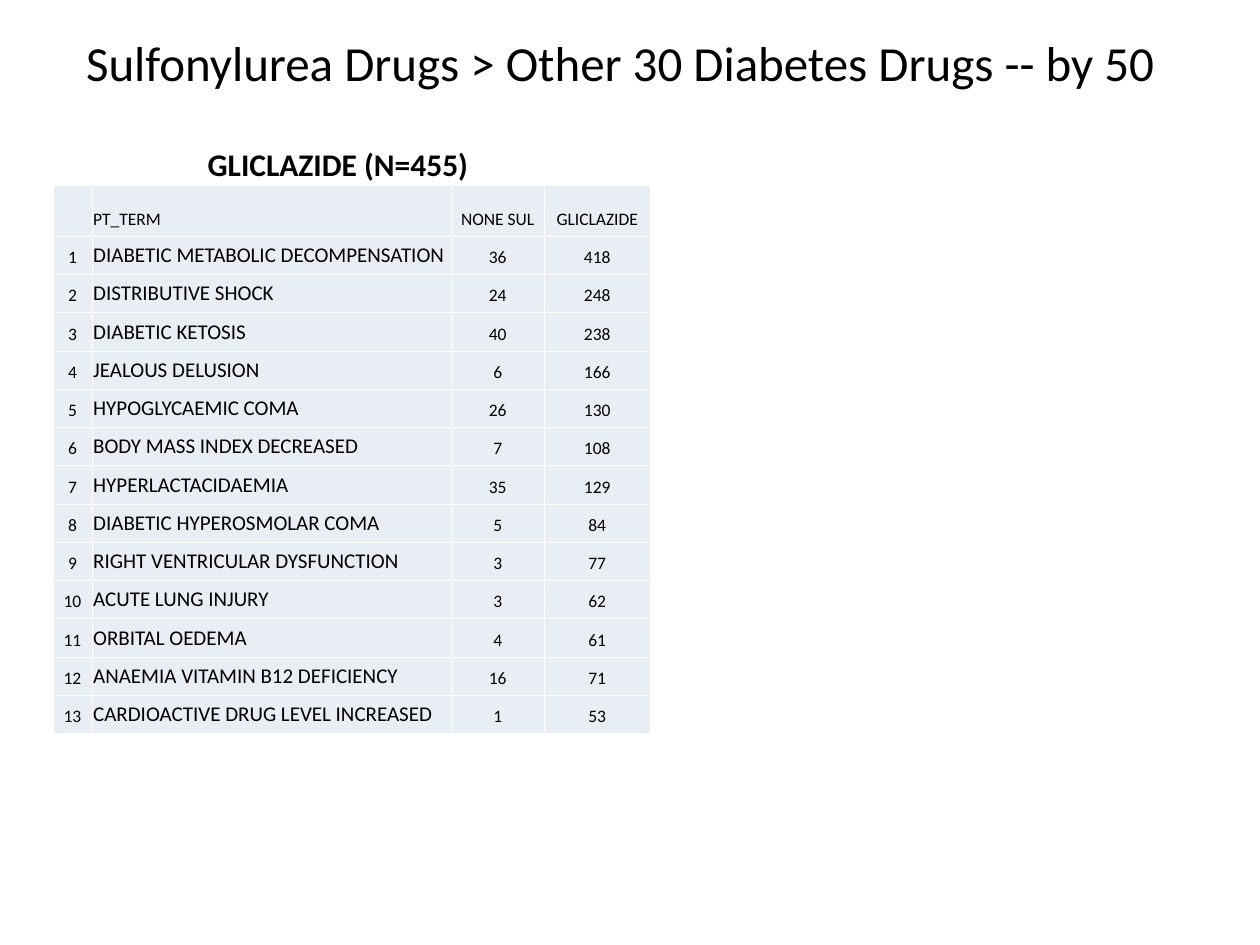
"""Build a slide tabulating adverse event terms for gliclazide."""
import pptx
import pptx.dml.color
import pptx.enum.text
import pptx.oxml
import pptx.oxml.ns
import pptx.util

Inches = pptx.util.Inches
Pt = pptx.util.Pt
RGBColor = pptx.dml.color.RGBColor
ALIGN = pptx.enum.text.PP_ALIGN
ANCHOR = pptx.enum.text.MSO_ANCHOR

FONT = "Calibri"
BLACK = RGBColor(0x00, 0x00, 0x00)
WHITE = RGBColor(0xFF, 0xFF, 0xFF)
PALE_BLUE = RGBColor(0xE9, 0xED, 0xF4)

COLUMN_WIDTHS = (0.31, 2.85, 0.74, 0.84)
HEADER_HEIGHT = 0.18
ROW_HEIGHT = 0.21
TERM_COLUMN = 1
HEADER = ("", "PT_TERM", "NONE SUL", "GLICLAZIDE")
TERMS = (
    ("DIABETIC METABOLIC DECOMPENSATION", 36, 418),
    ("DISTRIBUTIVE SHOCK", 24, 248),
    ("DIABETIC KETOSIS", 40, 238),
    ("JEALOUS DELUSION", 6, 166),
    ("HYPOGLYCAEMIC COMA", 26, 130),
    ("BODY MASS INDEX DECREASED", 7, 108),
    ("HYPERLACTACIDAEMIA", 35, 129),
    ("DIABETIC HYPEROSMOLAR COMA", 5, 84),
    ("RIGHT VENTRICULAR DYSFUNCTION", 3, 77),
    ("ACUTE LUNG INJURY", 3, 62),
    ("ORBITAL OEDEMA", 4, 61),
    ("ANAEMIA VITAMIN B12 DEFICIENCY", 16, 71),
    ("CARDIOACTIVE DRUG LEVEL INCREASED", 1, 53),
)


def add_run(p, text, size, bold=False):
    r = p.add_run()
    r.text = text
    r.font.name = FONT
    r.font.size = Pt(size)
    r.font.bold = bold
    r.font.color.rgb = BLACK


def set_title(s, text):
    sp = s.shapes.title
    sp.left, sp.top = Inches(0.42), Inches(0.08)
    sp.width, sp.height = Inches(9), Inches(0.83)
    tf = sp.text_frame
    tf.auto_size = pptx.enum.text.MSO_AUTO_SIZE.NONE
    tf.vertical_anchor = ANCHOR.MIDDLE
    p = tf.paragraphs[0]
    p.alignment = ALIGN.CENTER
    add_run(p, text, 28)


def add_caption(s, text):
    sp = s.shapes.add_textbox(Inches(1.55), Inches(1.1), Inches(2.27), Inches(0.4))
    tf = sp.text_frame
    tf.word_wrap = False
    tf.auto_size = pptx.enum.text.MSO_AUTO_SIZE.SHAPE_TO_FIT_TEXT
    add_run(tf.paragraphs[0], text, 18, bold=True)


def set_borders(cell):
    tc_pr = cell._tc.get_or_add_tcPr()
    for index, side in enumerate(("lnL", "lnR", "lnT", "lnB")):
        line = pptx.oxml.parse_xml(
            f'<a:{side} {pptx.oxml.ns.nsdecls("a")} w="{Pt(0.45)}">'
            f'<a:solidFill><a:srgbClr val="{WHITE}"/></a:solidFill></a:{side}>'
        )
        tc_pr.insert(index, line)


def fill_cell(cell, text, size, alignment):
    cell.fill.solid()
    cell.fill.fore_color.rgb = PALE_BLUE
    set_borders(cell)
    if text:
        cell.margin_left = cell.margin_right = Inches(0.01)
        cell.vertical_anchor = ANCHOR.BOTTOM
        p = cell.text_frame.paragraphs[0]
        p.alignment = alignment
        add_run(p, text, size)


def add_term_table(s):
    rows = [HEADER] + [(number, *term) for number, term in enumerate(TERMS, 1)]
    height = HEADER_HEIGHT + ROW_HEIGHT * len(TERMS)
    table = s.shapes.add_table(
        len(rows), len(HEADER), Inches(0.42), Inches(1.47),
        Inches(sum(COLUMN_WIDTHS)), Inches(height),
    ).table
    table.first_row = table.horz_banding = False
    for column, width in zip(table.columns, COLUMN_WIDTHS):
        column.width = Inches(width)
    for i, values in enumerate(rows):
        table.rows[i].height = Inches(ROW_HEIGHT if i else HEADER_HEIGHT)
        for j, value in enumerate(values):
            is_term = j == TERM_COLUMN
            size = 12 if is_term and i else 10
            alignment = ALIGN.LEFT if is_term else ALIGN.CENTER
            fill_cell(table.cell(i, j), str(value), size, alignment)


def main():
    prs = pptx.Presentation()
    prs.slide_width, prs.slide_height = Inches(10), Inches(7.5)
    s = prs.slides.add_slide(prs.slide_layouts[5])
    set_title(s, "Sulfonylurea Drugs > Other 30 Diabetes Drugs -- by 50")
    add_term_table(s)
    add_caption(s, "GLICLAZIDE (N=455)")
    prs.save("out.pptx")


if __name__ == "__main__":
    main()
